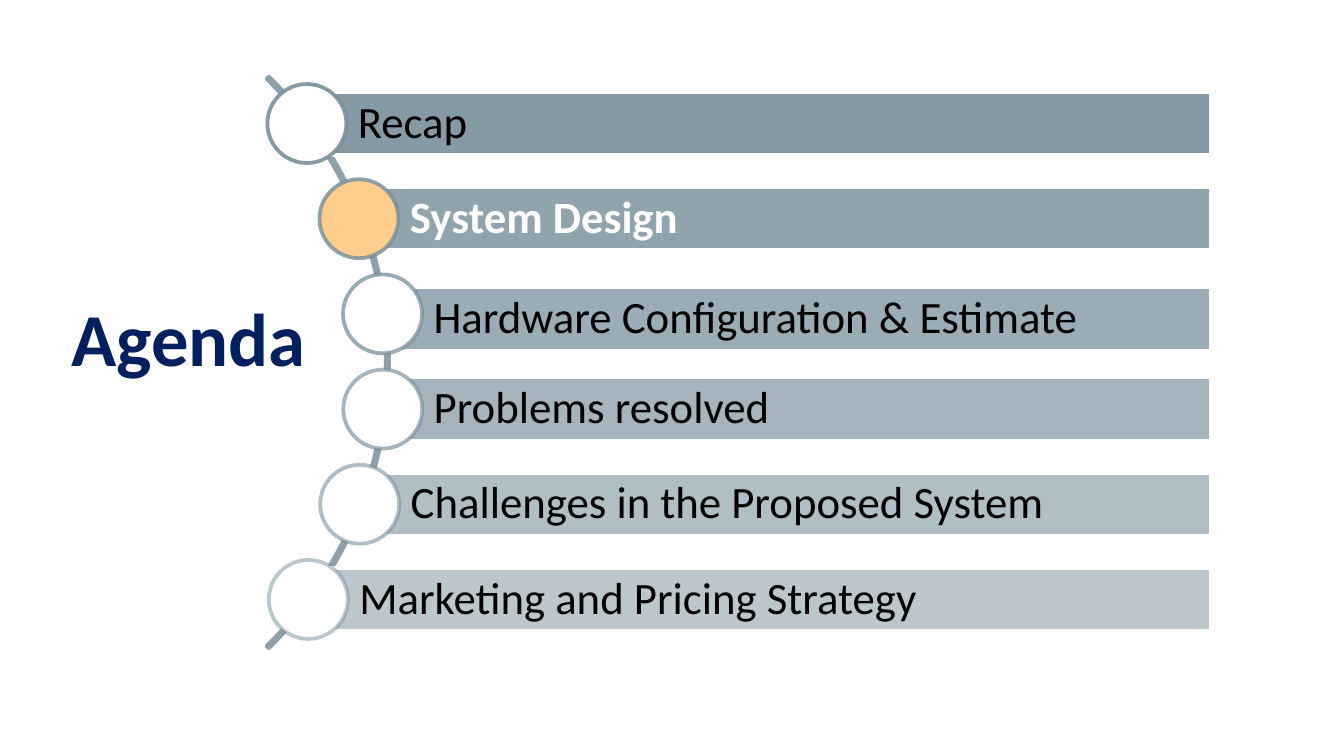
from math import sqrt

from lxml import etree
from pptx import Presentation
from pptx.dml.color import RGBColor
from pptx.enum.shapes import MSO_SHAPE
from pptx.enum.text import MSO_ANCHOR, PP_ALIGN
from pptx.oxml.ns import qn
from pptx.util import Emu, Pt

ARC, BAR, CIRCLE = MSO_SHAPE.BLOCK_ARC, MSO_SHAPE.RECTANGLE, MSO_SHAPE.OVAL
MIDDLE, LEFT = MSO_ANCHOR.MIDDLE, PP_ALIGN.LEFT

WHITE = RGBColor(0xFF, 0xFF, 0xFF)
BLACK = RGBColor(0x00, 0x00, 0x00)
NAVY = RGBColor(0x00, 0x20, 0x60)
SLATE = RGBColor(0x78, 0x90, 0x9C)
ARC_GRAY = RGBColor(0x8E, 0xA0, 0xA9)
AMBER = RGBColor(0xFF, 0xCD, 0x8C)

FONT = "Calibri"
EMU_PER_PX = 914400 / 134.4
PAGE_WIDTH, PAGE_HEIGHT = 1344, 756
TITLE_BOX = (58, 285, 317, 103)
LIST_BOX = (269, 84, 942, 555)
ARC_BOX = (-423, -40, 812, 805)
DIAMETER, BAR_HEIGHT = 79, 63
CURRENT = "System Design"
TOPICS = [
    ("Recap", 0),
    (CURRENT, 0),
    ("Hardware Configuration & Estimate", 5),
    ("Problems resolved", 0),
    ("Challenges in the Proposed System", 0),
    ("Marketing and Pricing Strategy", 0),
]


def px(value):
    """Turn pixels into EMU."""
    return Emu(round(value * EMU_PER_PX))


def set_opacity(color_format, percent):
    """Make a solid fill partly transparent."""
    color = color_format._xPr.find(qn("a:solidFill"))[0]
    etree.SubElement(color, qn("a:alpha"), val=str(percent * 1000))


def add_outlined(page, kind, box, fill, line):
    """Add a preset shape with a 2 pt outline and an optional fill."""
    shape = page.shapes.add_shape(kind, *map(px, box))
    shape.shadow.inherit = False
    if fill is None:
        shape.fill.background()
    else:
        shape.fill.solid()
        shape.fill.fore_color.rgb = fill
    shape.line.color.rgb = line
    shape.line.width = Pt(2)
    return shape


def format_text(para, size, color, bold):
    """Format the runs of a left-aligned paragraph."""
    para.alignment = LEFT
    for span in para.runs:
        span.font.name = FONT
        span.font.size = Pt(size)
        span.font.bold = bold
        span.font.color.rgb = color


def add_title(page, box):
    """Place and format the slide title."""
    title = page.shapes.title
    title.left, title.top, title.width, title.height = map(px, box)
    frame = title.text_frame
    frame.text = "Agenda"
    frame.vertical_anchor = MIDDLE
    format_text(frame.paragraphs[0], 40, NAVY, True)


def add_topic(page, box, text, opacity, nudge):
    """Add one bar with its circle at the left end of the box."""
    left, top, width, height = box
    is_current = text == CURRENT
    bar_box = (left + height / 2, top + (height - BAR_HEIGHT) / 2 + nudge,
               width - height / 2, BAR_HEIGHT)
    bar = add_outlined(page, BAR, bar_box, SLATE, WHITE)
    set_opacity(bar.fill, opacity)
    frame = bar.text_frame
    frame.text = text
    frame.word_wrap = True
    frame.vertical_anchor = MIDDLE
    frame.margin_left = px(51)
    frame.margin_right = frame.margin_top = frame.margin_bottom = px(9)
    frame.paragraphs[0].line_spacing = 0.9
    format_text(frame.paragraphs[0], 24, WHITE if is_current else BLACK, is_current)

    circle = add_outlined(page, CIRCLE, (left, top, height, height),
                          AMBER if is_current else WHITE, SLATE)
    set_opacity(circle.line.fill, opacity)


def add_agenda(page, box, arc_box):
    """Add the arc and spread the topics evenly along it."""
    arc = add_outlined(page, ARC, arc_box, None, ARC_GRAY)
    for index, value in enumerate((189, 27, 0.004)):
        arc.adjustments[index] = value

    left, top, width, height = box
    arc_left, arc_top, arc_width, arc_height = arc_box
    center_x, center_y = arc_left + arc_width / 2, arc_top + arc_height / 2
    radius = arc_height / 2
    pitch = (height - DIAMETER) / (len(TOPICS) - 1)
    for index, (text, nudge) in enumerate(TOPICS):
        topic_top = top + index * pitch
        rise = topic_top + DIAMETER / 2 - center_y
        topic_left = center_x + sqrt(radius ** 2 - rise ** 2) - DIAMETER / 2
        topic_box = (topic_left, topic_top, left + width - topic_left, DIAMETER)
        add_topic(page, topic_box, text, 90 - 8 * index, nudge)


def main():
    """Build the agenda slide."""
    deck = Presentation()
    deck.slide_width, deck.slide_height = px(PAGE_WIDTH), px(PAGE_HEIGHT)
    page = deck.slides.add_slide(deck.slide_layouts[5])
    add_title(page, TITLE_BOX)
    add_agenda(page, LIST_BOX, ARC_BOX)
    deck.save("out.pptx")


if __name__ == "__main__":
    main()
